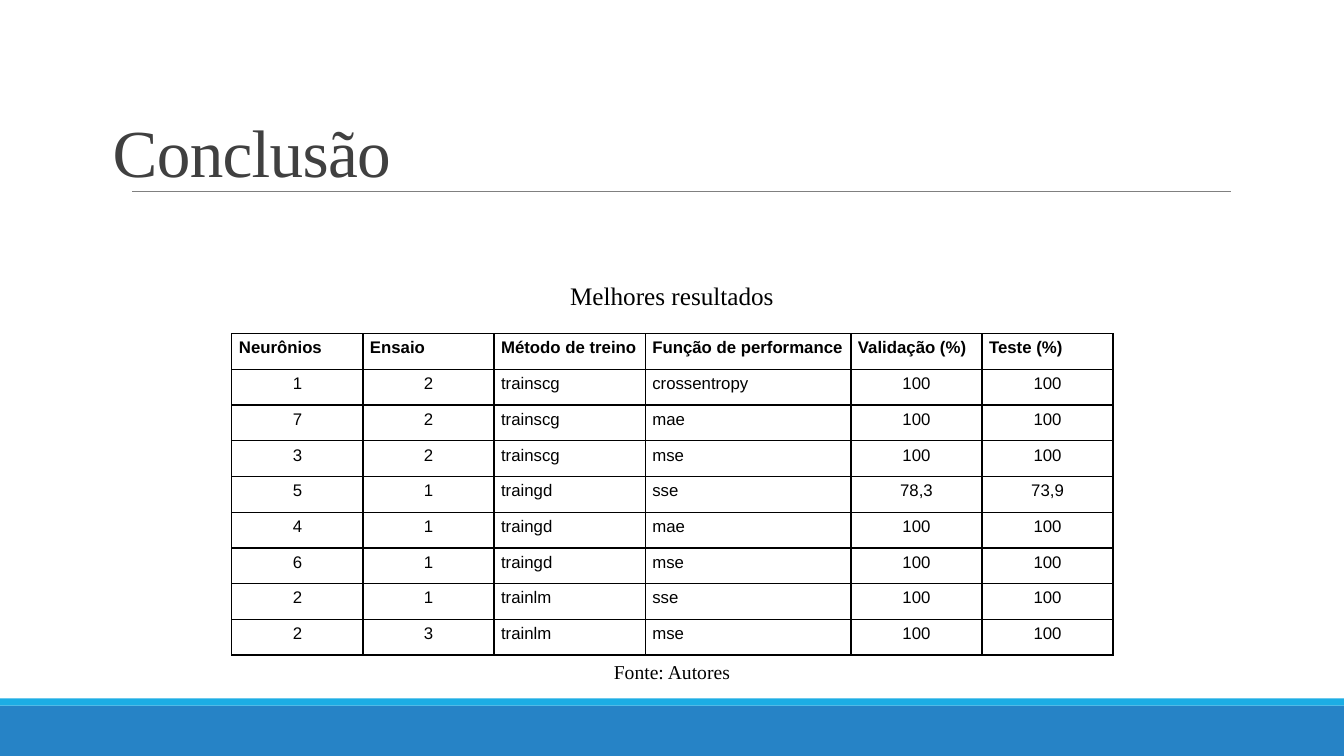
from dataclasses import dataclass

from lxml import etree
from pptx import Presentation
from pptx.dml.color import RGBColor
from pptx.enum.shapes import MSO_CONNECTOR, MSO_SHAPE
from pptx.enum.text import MSO_ANCHOR, PP_ALIGN
from pptx.oxml.ns import qn
from pptx.util import Inches, Pt

RECTANGLE = MSO_SHAPE.RECTANGLE
STRAIGHT = MSO_CONNECTOR.STRAIGHT
BOTTOM = MSO_ANCHOR.BOTTOM
LEFT, CENTER, JUSTIFY = PP_ALIGN.LEFT, PP_ALIGN.CENTER, PP_ALIGN.JUSTIFY


@dataclass(frozen=True)
class Theme:
    serif: str = "Times New Roman"
    sans: str = "Arial"
    title: str = "404040"
    ink: str = "000000"
    rule: str = "808080"
    band: str = "2683C6"
    stripe: str = "1CADE4"
    title_size: int = 48
    caption_size: int = 18
    source_size: int = 14
    table_size: int = 12


theme = Theme()


def write(frame, text, font, size, color, align, bold=False):
    frame.word_wrap = True
    paragraph = frame.paragraphs[0]
    paragraph.text = text
    paragraph.alignment = align
    paragraph.font.name = font
    paragraph.font.size = Pt(size)
    paragraph.font.bold = bold
    paragraph.font.color.rgb = RGBColor.from_string(color)


def add_border(cell, side):
    line = etree.SubElement(cell._tc.get_or_add_tcPr(), qn(f"a:{side}"), w=str(Pt(1)))
    fill = etree.SubElement(line, qn("a:solidFill"))
    etree.SubElement(fill, qn("a:srgbClr"), val=theme.ink)


prs = Presentation()
prs.slide_width = Inches(13.33)
prs.slide_height = Inches(7.5)
slide = prs.slides.add_slide(prs.slide_layouts[6])
shapes = slide.shapes

for top, height, color in [(7, 0.5, theme.band), (6.93, 0.07, theme.stripe)]:
    footer = shapes.add_shape(RECTANGLE, 0, Inches(top), prs.slide_width, Inches(height))
    footer.shadow.inherit = False
    footer.fill.solid()
    footer.fill.fore_color.rgb = RGBColor.from_string(color)
    footer.line.fill.background()

title_rule = shapes.add_connector(STRAIGHT, Inches(1.31), Inches(1.9), Inches(12.21), Inches(1.9))
title_rule.line.color.rgb = RGBColor.from_string(theme.rule)
title_rule.line.width = Pt(0.5)
etree.SubElement(title_rule._element.spPr, qn("a:effectLst"))

for text, top, height, size in [
    ("Melhores resultados", 2.73, 0.58, theme.caption_size),
    ("Fonte: Autores", 6.5, 0.38, theme.source_size),
]:
    caption = shapes.add_textbox(0, Inches(top), prs.slide_width, Inches(height))
    write(caption.text_frame, text, theme.serif, size, theme.ink, CENTER)

results = [
    ("Neurônios", "Ensaio", "Método de treino", "Função de performance", "Validação (%)", "Teste (%)"),
    ("1", "2", "trainscg", "crossentropy", "100", "100"),
    ("7", "2", "trainscg", "mae", "100", "100"),
    ("3", "2", "trainscg", "mse", "100", "100"),
    ("5", "1", "traingd", "sse", "78,3", "73,9"),
    ("4", "1", "traingd", "mae", "100", "100"),
    ("6", "1", "traingd", "mse", "100", "100"),
    ("2", "1", "trainlm", "sse", "100", "100"),
    ("2", "3", "trainlm", "mse", "100", "100"),
]
column_widths = [1.3, 1.3, 1.5, 2.04, 1.3, 1.3]
name_columns = (2, 3)

table = shapes.add_table(
    len(results), len(column_widths),
    Inches(2.3), Inches(3.31), Inches(sum(column_widths)), Inches(3.19),
).table
table.horz_banding = False
for column, width in zip(table.columns, column_widths):
    column.width = Inches(width)

for r, values in enumerate(results):
    for c, value in enumerate(values):
        cell = table.cell(r, c)
        cell.margin_left = cell.margin_right = Inches(0.07)
        cell.margin_top = cell.margin_bottom = Inches(0.05)
        header = r == 0
        align = JUSTIFY if header or c in name_columns else CENTER
        write(cell.text_frame, value, theme.sans, theme.table_size, theme.ink, align, header)
        for side in ("lnL", "lnR", "lnT", "lnB"):
            add_border(cell, side)
        cell.fill.background()

title = shapes.add_textbox(Inches(1.02), Inches(1.05), Inches(6.06), Inches(0.84)).text_frame
title.vertical_anchor = BOTTOM
title.margin_bottom = 0
write(title, "Conclusão", theme.serif, theme.title_size, theme.title, LEFT)
title.paragraphs[0].runs[0].font._element.set("spc", "-50")

prs.save("out.pptx")
